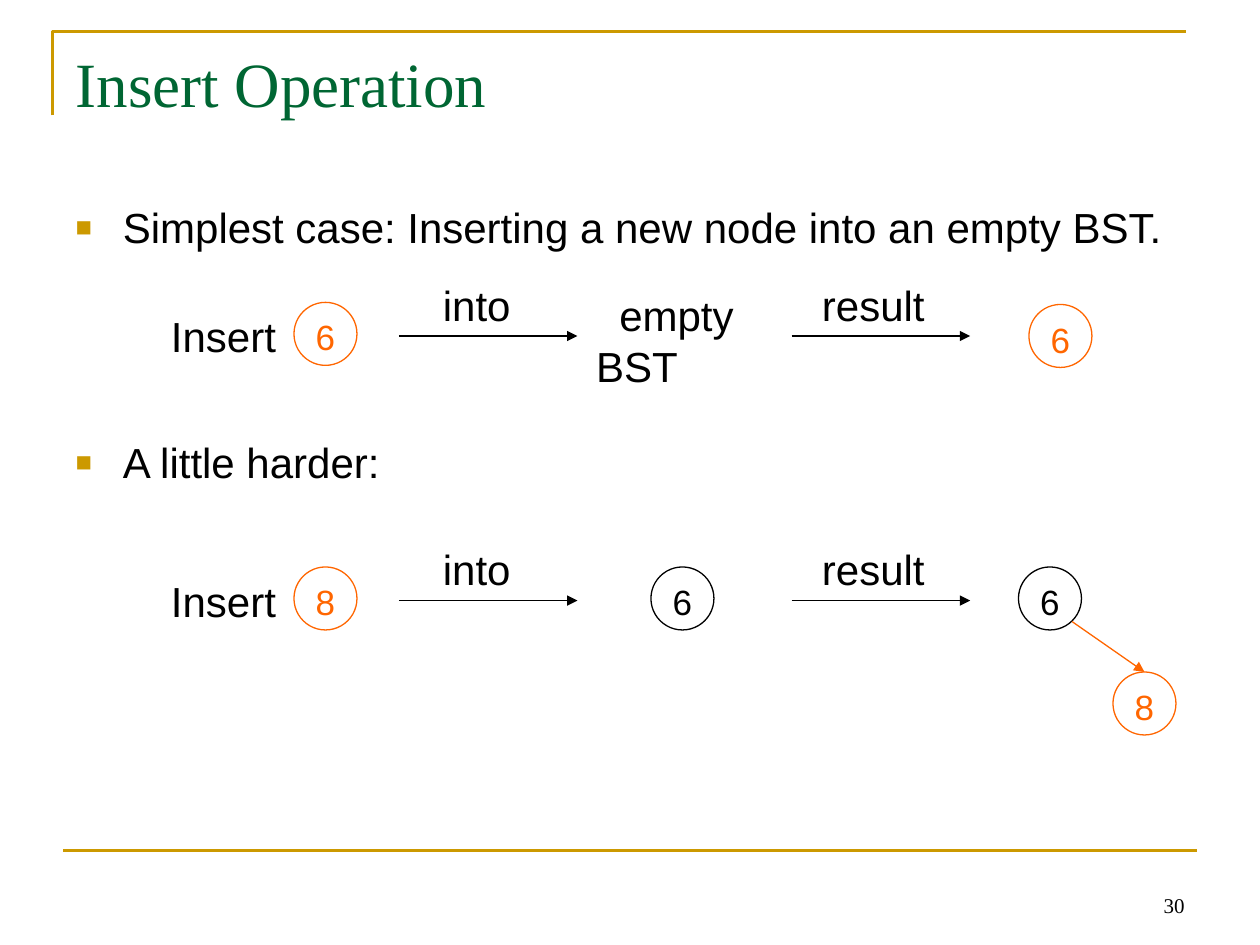
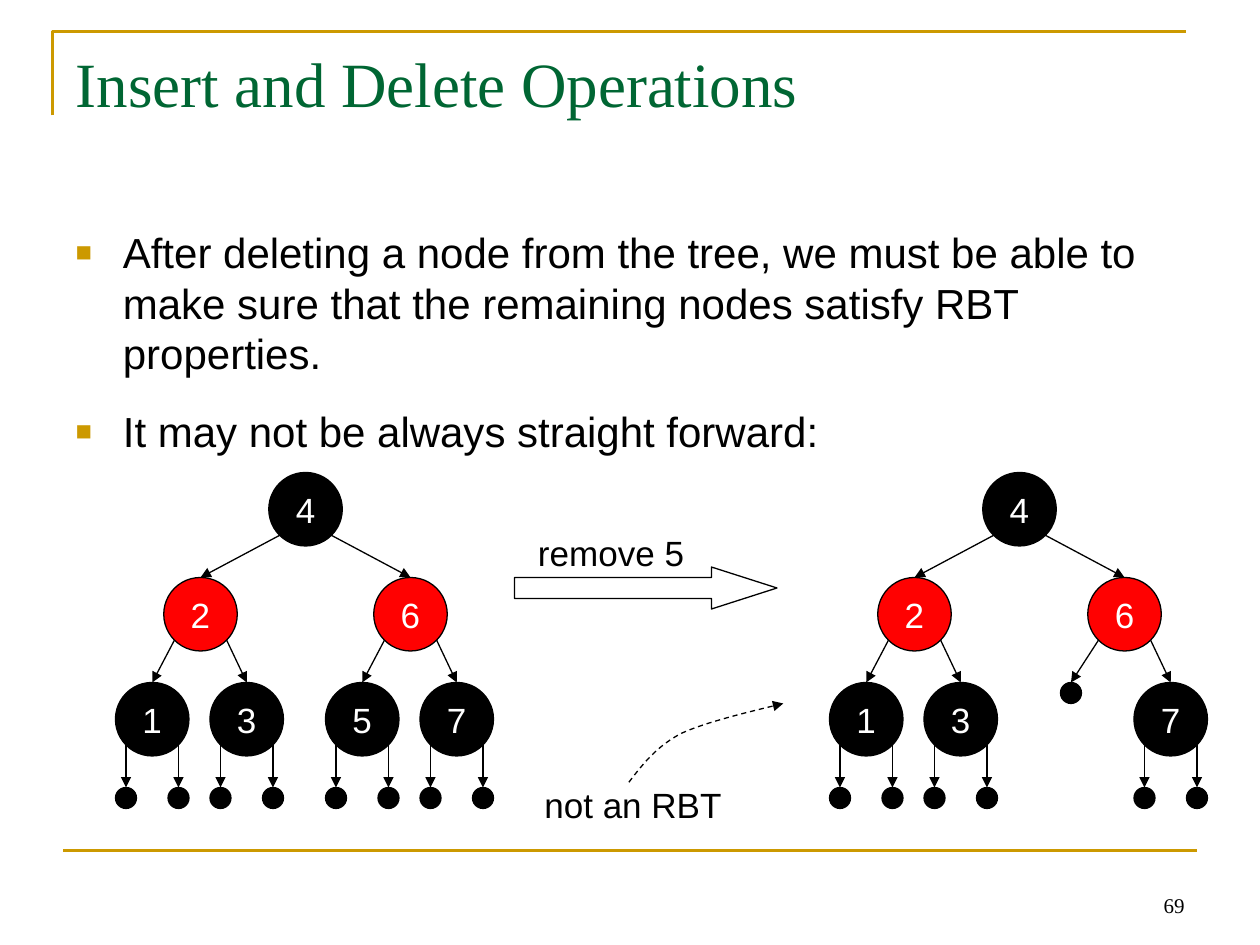
import pptx
import pptx.dml.color
import pptx.enum.dml
import pptx.enum.shapes
import pptx.enum.text
import pptx.oxml
import pptx.oxml.ns
import pptx.util

RGB = pptx.dml.color.RGBColor
GOLD = RGB(0xCC, 0x99, 0x00)
GREEN = RGB(0x00, 0x66, 0x33)
ORANGE = RGB(0xFF, 0x66, 0x00)
RED = RGB(0xFF, 0x01, 0x01)
BLACK = RGB(0x00, 0x00, 0x00)
WHITE = RGB(0xFF, 0xFF, 0xFF)

PX = 7620  # EMU per px, 120 px to the inch
SANS, SERIF = "Arial", "Times New Roman"
SHAPE = pptx.enum.shapes.MSO_SHAPE
ALIGN = pptx.enum.text.PP_ALIGN
ANCHOR = pptx.enum.text.MSO_ANCHOR


def add_xml(parent, tag, **attributes):
    """Append an empty drawing element to parent."""
    element = parent.makeelement(pptx.oxml.ns.qn(tag), attributes)
    parent.append(element)
    return element


def bezier(points, steps=12):
    """Points along one cubic curve, without its start."""
    for step in range(1, steps + 1):
        t = step / steps
        weights = ((1 - t) ** 3, 3 * t * (1 - t) ** 2, 3 * t * t * (1 - t), t ** 3)
        yield tuple(PX * sum(w * p[axis] for w, p in zip(weights, points))
                    for axis in (0, 1))


class Deck:
    def __init__(self):
        self.prs = pptx.Presentation()
        self.prs.slide_width, self.prs.slide_height = 1200 * PX, 900 * PX
        self.slide = None

    def start_slide(self, title, number):
        """Add a slide with its frame, title and page number."""
        self.slide = self.prs.slides.add_slide(self.prs.slide_layouts[1])
        corner = self.slide.shapes.build_freeform(50, 110, scale=PX)
        corner.add_line_segments([(50, 30), (1130, 30)], close=False)
        self.outline(corner.convert_to_shape(), GOLD, width=1.5)
        self.line(60, 810, 1140, 810, GOLD, width=1.5, arrow=False)

        heading = self.place(self.slide.shapes.title, 60, 36, 1080, 150)
        heading.text = title
        self.style(heading.paragraphs[0], 36, GREEN, SERIF)

        page = self.text(str(number), 860, 820, 280, 60, 12, ALIGN.RIGHT, SERIF)
        page.vertical_anchor = ANCHOR.BOTTOM

    def place(self, placeholder, x, y, w, h):
        placeholder.left, placeholder.top = x * PX, y * PX
        placeholder.width, placeholder.height = w * PX, h * PX
        frame = placeholder.text_frame
        frame.auto_size = pptx.enum.text.MSO_AUTO_SIZE.NONE
        frame.vertical_anchor = ANCHOR.TOP
        return frame

    def style(self, paragraph, size, color=BLACK, font=SANS, align=ALIGN.LEFT):
        paragraph.alignment = align
        paragraph.font.size = pptx.util.Pt(size)
        paragraph.font.name = font
        paragraph.font.color.rgb = color

    def bullets(self, top, items, gap):
        """Fill the body; gap is the space in points between items."""
        body = self.place(self.slide.placeholders[1], 60, top, 1080, 594)
        body.text = "\n".join(items)
        for index, paragraph in enumerate(body.paragraphs):
            props = paragraph._p.get_or_add_pPr()
            props.set("marL", str(45 * PX))
            props.set("indent", str(-45 * PX))
            add_xml(add_xml(props, "a:buClr"), "a:srgbClr", val=str(GOLD))
            add_xml(props, "a:buSzPct", val="65000")
            add_xml(props, "a:buFont", typeface=SANS)
            add_xml(props, "a:buChar", char="■")
            paragraph.space_before = pptx.util.Pt(gap if index else 4.8)
            self.style(paragraph, 24)

    def text(self, words, x, y, w, h, size, align=ALIGN.LEFT, font=SANS):
        frame = self.slide.shapes.add_textbox(x * PX, y * PX, w * PX, h * PX).text_frame
        frame.word_wrap = True
        frame.text = words
        for paragraph in frame.paragraphs:
            self.style(paragraph, size, font=font, align=align)
        return frame

    def outline(self, shape, color=BLACK, fill=None, width=0.75):
        shape.shadow.inherit = False
        if fill is None:
            shape.fill.background()
        else:
            shape.fill.solid()
            shape.fill.fore_color.rgb = fill
        shape.line.color.rgb = color
        shape.line.width = pptx.util.Pt(width)

    def arrowhead(self, shape):
        add_xml(shape.line._get_or_add_ln(), "a:tailEnd", type="triangle")

    def line(self, x1, y1, x2, y2, color=BLACK, width=0.75, arrow=True, target=None):
        """Draw a straight line, joined to the top of target if there is one."""
        link = self.slide.shapes.add_connector(
            pptx.enum.shapes.MSO_CONNECTOR.STRAIGHT, x1 * PX, y1 * PX, x2 * PX, y2 * PX)
        if target is not None:
            link.end_connect(target, 0)
        link.line.color.rgb = color
        link.line.width = pptx.util.Pt(width)
        add_xml(link._element.spPr, "a:effectLst")
        if arrow:
            self.arrowhead(link)

    def circle(self, x, y, size, label=None, ink=BLACK, edge=BLACK, fill=None, drop=0):
        """Draw a circle; drop lowers its label by half as many px."""
        disc = self.slide.shapes.add_shape(SHAPE.OVAL, x * PX, y * PX, size * PX, size * PX)
        self.outline(disc, edge, fill)
        if label:
            frame = disc.text_frame
            frame.margin_left = frame.margin_right = frame.margin_bottom = 0
            frame.margin_top = drop * PX
            frame.vertical_anchor = ANCHOR.MIDDLE
            frame.word_wrap = False
            frame.text = label
            self.style(frame.paragraphs[0], 20, ink, align=ALIGN.CENTER)
        return disc

    def bst_node(self, label, x, y, color=BLACK):
        return self.circle(x, y, 60, label, color, color, drop=6)

    def block_arrow(self, x, y, w, h):
        arrow = self.slide.shapes.add_shape(SHAPE.RIGHT_ARROW, x * PX, y * PX, w * PX, h * PX)
        arrow.adjustments[0], arrow.adjustments[1] = 0.5, 1.56
        self.outline(arrow)

    def dashed_curve(self, points):
        """Draw a dashed arrow along joined cubic curves."""
        pen = self.slide.shapes.build_freeform(points[0][0] * PX, points[0][1] * PX)
        for start in range(0, len(points) - 1, 3):
            pen.add_line_segments(list(bezier(points[start:start + 4])), close=False)
        curve = pen.convert_to_shape()
        self.outline(curve)
        curve.line.dash_style = pptx.enum.dml.MSO_LINE.DASH
        self.arrowhead(curve)

    def rbt(self, node, parent_x, level=0):
        """Draw a subtree below the centre parent_x and return its root."""
        label, shift, children = node
        center, top = parent_x + shift, 450 + 100 * level
        if label is None:
            return self.circle(center - 10, top, 20, fill=BLACK)
        disc = self.circle(center - 35, top, 70, label, WHITE,
                           fill=RED if level == 1 else BLACK)
        for side, child in zip((-25, 25), children):
            child_disc = self.rbt(child, center, level + 1)
            self.line(center + side, top + 60, center + child[1], top + 100,
                      target=child_disc)
        return disc


# Tree nodes are (label, shift from the parent's centre, children)
def nil(shift):
    return None, shift, ()


def leaf(label, shift):
    return label, shift, (nil(-25), nil(25))


def tree(below_six):
    two = ("2", -100, (leaf("1", -46), leaf("3", 44)))
    six = ("6", 100, (below_six, leaf("7", 44)))
    return "4", 0, (two, six)


def insert_slide(deck):
    deck.start_slide("Insert Operation", 30)
    deck.bullets(186, ["Simplest case: Inserting a new node into an empty BST.",
                       "A little harder:"], gap=105.6)

    # Both insertions share one row pattern
    for new_key, top in (("6", 288), ("8", 540)):
        deck.text("Insert", 151, top + 2, 125, 60, 24)
        deck.bst_node(new_key, 280, top, ORANGE)
        for step, label_x, arrow_x in (("into", 410, 380), ("result", 771, 754)):
            deck.text(step, label_x, top - 28, 140, 60, 24)
            deck.line(arrow_x, top + 32, arrow_x + 170, top + 32)

    # Into an empty tree
    empty = deck.text("empty\nBST", 556, 270, 170, 108, 24)
    empty.paragraphs[0]._p.get_or_add_pPr().set("indent", str(22 * PX))
    deck.bst_node("6", 980, 290, ORANGE)

    # Into a tree with one node
    deck.bst_node("6", 620, 540)
    deck.bst_node("6", 970, 540)
    inserted = deck.bst_node("8", 1060, 640, ORANGE)
    deck.line(1021, 592, 1090, 640, ORANGE, target=inserted)


def delete_slide(deck):
    deck.start_slide("Insert and Delete Operations", 69)
    deck.bullets(210, ["After deleting a node from the tree, we must be able to make sure "
                       "that the remaining nodes satisfy RBT properties.",
                       "It may not be always straight forward:"], gap=16)

    # Before and after the removal
    deck.rbt(tree(leaf("5", -46)), 291)
    deck.rbt(tree(nil(-51)), 971)

    # The step between the trees
    deck.text("remove 5", 500, 500, 164, 52, 20, ALIGN.CENTER)
    deck.block_arrow(490, 540, 250, 40)
    deck.text("not an RBT", 506, 740, 194, 52, 20, ALIGN.CENTER)
    deck.dashed_curve([(599, 745), (612, 728), (626, 710), (650, 698),
                       (676, 686), (731, 674), (746, 670)])


def main():
    deck = Deck()
    insert_slide(deck)
    delete_slide(deck)
    deck.prs.save("out.pptx")


if __name__ == "__main__":
    main()
